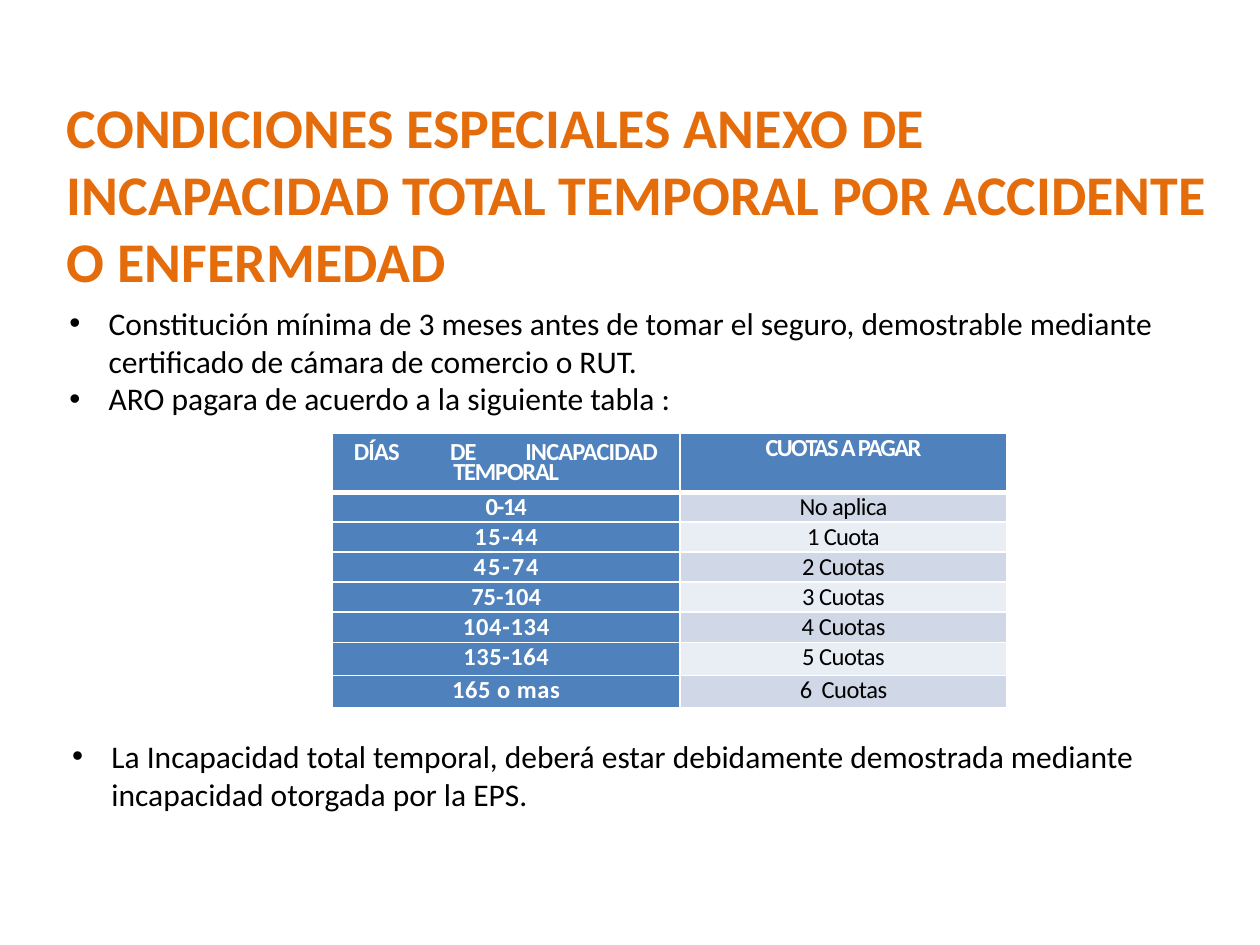
import pptx
import pptx.util
import pptx.dml.color
import pptx.enum.text
import pptx.oxml
import pptx.oxml.ns
import lxml.etree

Pt = pptx.util.Pt
Align = pptx.enum.text.PP_ALIGN
NAMESPACE = pptx.oxml.ns.nsdecls("a")

COLORS = {
    "title": "E46C0A",
    "text": "000000",
    "light": "FFFFFF",
    "header": "4F81BD",
    "band_dark": "D0D8E8",
    "band_light": "E9EDF4",
}

FORMATS = {
    "title": {"size": Pt(32), "bold": True},
    "list": {"size": Pt(18), "bold": False},
    "header": {"size": Pt(14), "bold": True},
    "value": {"size": Pt(14), "bold": False},
}

HEADER_LINES = [("\tDÍAS\tDE\tINCAPACIDAD", -0.5), ("TEMPORAL", -0.7)]
HEADER_TABS = [10, 65, 108]
PAYMENTS = [
    ("0-14", -0.7, "No aplica", -0.3),
    ("15-44", 0.9, "1 Cuota", -0.4),
    ("45-74", 1.1, "2 Cuotas", -0.3),
    ("75-104", 0, "3 Cuotas", -0.3),
    ("104-134", 0.4, "4 Cuotas", -0.2),
    ("135-164", 0.3, "5 Cuotas", -0.3),
    ("165 o mas", 0.3, "6\u00a0 Cuotas".replace("\u00a0", " "), -0.3),
]
COLUMN_WIDTHS = [198.5, 187]
ROW_HEIGHTS = [33.5, 17.1, 17.1, 17.1, 17.1, 17.6, 18.7, 18.4]


class SlideBuilder:
    def __init__(self, presentation):
        self.slide = presentation.slides.add_slide(presentation.slide_layouts[3])

    def add_text(self, paragraph, text, style, color, spacing=0):
        run = paragraph.add_run()
        run.text = text
        for name, value in {"name": "Calibri", **FORMATS[style]}.items():
            setattr(run.font, name, value)
        run.font.color.rgb = pptx.dml.color.RGBColor.from_string(COLORS[color])
        if spacing:
            run._r.get_or_add_rPr().set("spc", str(round(spacing * 100)))

    def place(self, shape, box):
        for name, value in zip(("left", "top", "width", "height"), box):
            setattr(shape, name, Pt(value))
        frame = shape.text_frame
        settings = {
            "word_wrap": True,
            "auto_size": pptx.enum.text.MSO_AUTO_SIZE.NONE,
            "vertical_anchor": pptx.enum.text.MSO_ANCHOR.TOP,
        }
        for name, value in settings.items():
            setattr(frame, name, value)
        return frame

    def title(self, text, box):
        frame = self.place(self.slide.shapes.title, box)
        paragraph = frame.paragraphs[0]
        paragraph.alignment = Align.LEFT
        self.add_text(paragraph, text, "title", "title")

    def bullets(self, index, items, box):
        frame = self.place(self.slide.placeholders[index], box)
        for number, item in enumerate(items):
            paragraph = frame.add_paragraph() if number else frame.paragraphs[0]
            paragraph.space_before = Pt(0)
            properties = paragraph._p.get_or_add_pPr()
            properties.set("marL", str(Pt(22.5)))
            properties.set("indent", str(Pt(-22.5)))
            for markup in ('<a:buFont %s typeface="Arial"/>', '<a:buChar %s char="•"/>'):
                properties.append(pptx.oxml.parse_xml(markup % NAMESPACE))
            self.add_text(paragraph, item, "list", "text")

    def cell(self, cell, lines, style, color, fill, bottom=1):
        for name, value in {"left": 2.2, "right": 2.2, "top": 0, "bottom": 0}.items():
            setattr(cell, "margin_" + name, Pt(value))
        properties = cell._tc.get_or_add_tcPr()
        for side, width in {"L": 1, "R": 1, "T": 1, "B": bottom}.items():
            line = lxml.etree.SubElement(properties, pptx.oxml.ns.qn("a:ln" + side), w=str(Pt(width)))
            paint = lxml.etree.SubElement(line, pptx.oxml.ns.qn("a:solidFill"))
            lxml.etree.SubElement(paint, pptx.oxml.ns.qn("a:srgbClr"), val=COLORS["light"])
        cell.fill.solid()
        cell.fill.fore_color.rgb = pptx.dml.color.RGBColor.from_string(COLORS[fill])
        frame = cell.text_frame
        for number, (text, spacing) in enumerate(lines):
            paragraph = frame.add_paragraph() if number else frame.paragraphs[0]
            paragraph.alignment = Align.CENTER
            self.add_text(paragraph, text, style, color, spacing)

    def table(self, left, top):
        shape = self.slide.shapes.add_table(
            len(ROW_HEIGHTS), len(COLUMN_WIDTHS), Pt(left), Pt(top),
            Pt(sum(COLUMN_WIDTHS)), Pt(sum(ROW_HEIGHTS)))
        table = shape.table
        for column, width in zip(table.columns, COLUMN_WIDTHS):
            column.width = Pt(width)
        for row, height in zip(table.rows, ROW_HEIGHTS):
            row.height = Pt(height)

        days = table.cell(0, 0)
        self.cell(days, HEADER_LINES, "header", "light", "header", 3)
        days.margin_top = Pt(8)
        for paragraph in days.text_frame.paragraphs:
            paragraph.line_spacing = Pt(11.3)
        first = days.text_frame.paragraphs[0]
        first.alignment = Align.LEFT
        tabs = lxml.etree.SubElement(first._p.get_or_add_pPr(), pptx.oxml.ns.qn("a:tabLst"))
        for position in HEADER_TABS:
            lxml.etree.SubElement(tabs, pptx.oxml.ns.qn("a:tab"), pos=str(Pt(position)), algn="l")
        self.cell(table.cell(0, 1), [("CUOTAS A PAGAR", -1)], "header", "light", "header", 3)

        for row, (period, period_spacing, payment, payment_spacing) in enumerate(PAYMENTS, 1):
            band = "band_dark" if row % 2 else "band_light"
            self.cell(table.cell(row, 0), [(period, period_spacing)], "header", "light", "header")
            self.cell(table.cell(row, 1), [(payment, payment_spacing)], "value", "text", band)


def main():
    presentation = pptx.Presentation()
    presentation.slide_width = Pt(720)
    presentation.slide_height = Pt(540)
    builder = SlideBuilder(presentation)
    builder.title(
        "CONDICIONES ESPECIALES ANEXO DE INCAPACIDAD TOTAL TEMPORAL POR ACCIDENTE O ENFERMEDAD",
        (31, 49, 669, 124))
    builder.bullets(1, [
        "Constitución mínima de 3 meses antes de tomar el seguro, demostrable mediante "
        "certificado de cámara de comercio o RUT.",
        "ARO pagara de acuerdo a la siguiente tabla :",
    ], (32.4, 170, 651, 94))
    builder.bullets(2, [
        "La Incapacidad total temporal, deberá estar debidamente demostrada mediante "
        "incapacidad otorgada por la EPS.",
    ], (34, 417.6, 635, 73))
    builder.table(190, 247.8)
    presentation.save("out.pptx")


if __name__ == "__main__":
    main()
